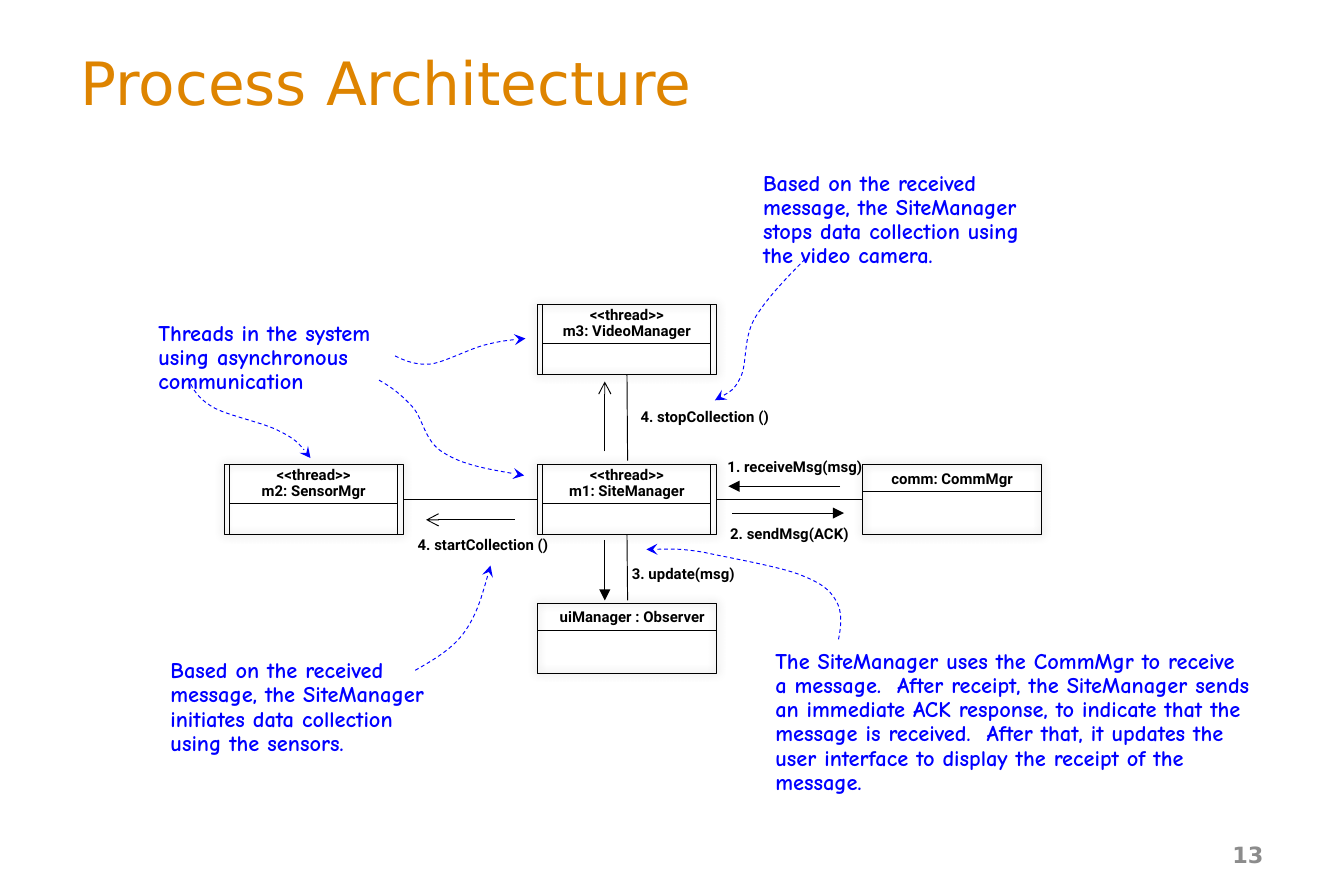
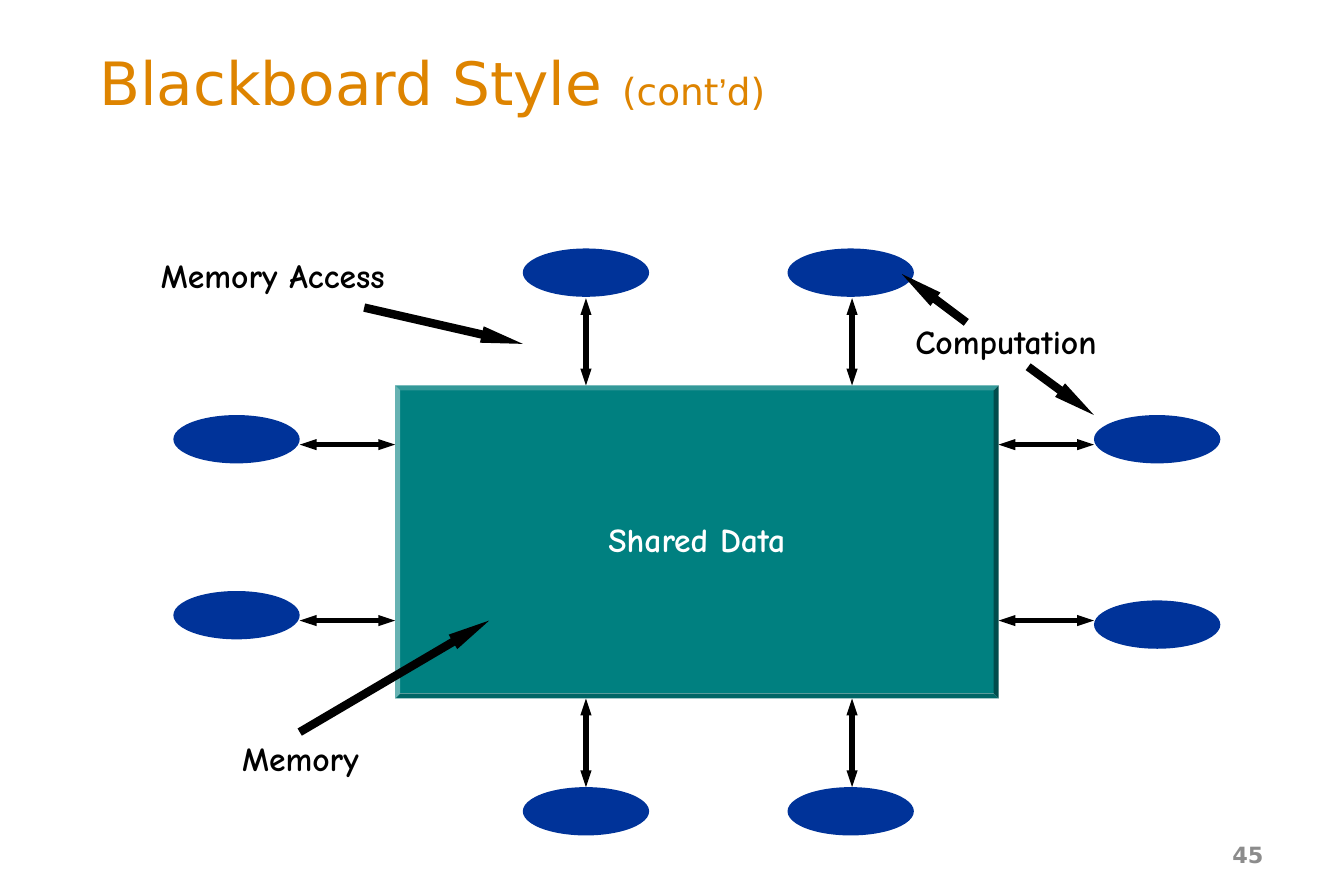
import lxml.etree
import pptx
import pptx.dml.color
import pptx.enum.dml
import pptx.enum.shapes
import pptx.enum.text
import pptx.oxml.ns
import pptx.util

Inches = pptx.util.Inches
Pt = pptx.util.Pt
RGB = pptx.dml.color.RGBColor.from_string
Shape = pptx.enum.shapes.MSO_SHAPE
Align = pptx.enum.text.PP_ALIGN
Anchor = pptx.enum.text.MSO_ANCHOR
qn = pptx.oxml.ns.qn
Sub = lxml.etree.SubElement


class Theme:
    orange = RGB("DE8400")
    gray = RGB("8C8C8C")
    black = RGB("000000")
    white = RGB("FFFFFF")
    blue = RGB("0000FF")
    navy = RGB("003399")
    teal = RGB("008080")
    head = ("DejaVu Sans", 32, orange, False)
    small = ("DejaVu Sans", 20, orange, False)
    quote = ("Arial", 20, orange, False)
    page = ("DejaVu Sans", 12, gray, True)
    label = ("Roboto", 8, black, True)
    note = ("Comic Neue", 12, blue, True)
    name = ("Comic Neue", 18, black, True)
    core = ("Comic Neue", 18, white, True)
    thin, thick, heavy = Pt(0.5), Pt(3), Pt(4.5)


def write(shape, runs, align=Align.LEFT, space=0.9, anchor=Anchor.TOP, wrap=True):
    frame = shape.text_frame
    frame.word_wrap = wrap
    frame.vertical_anchor = anchor
    para = frame.paragraphs[0]
    para.alignment = align
    para.line_spacing = space
    for text, (font, size, color, bold) in runs:
        run = para.add_run()
        run.text = text
        run.font.name = font
        run.font.size = Pt(size)
        run.font.color.rgb = color
        run.font.bold = bold


def link(slide, start, end, width, tail=None, head=None, span="med", girth="med"):
    line = slide.shapes.add_connector(
        pptx.enum.shapes.MSO_CONNECTOR.STRAIGHT, *map(Inches, start + end))
    line.line.color.rgb = Theme.black
    line.line.width = width
    props = line.element.spPr
    for tag, kind in (("a:headEnd", head), ("a:tailEnd", tail)):
        if kind:
            Sub(props.find(qn("a:ln")), qn(tag), type=kind, w=girth, len=span)
    Sub(props, qn("a:effectLst"))
    return line


deck = pptx.Presentation()
deck.slide_width, deck.slide_height = Inches(10), Inches(6.67)

heads = [
    ([("Process Architecture", Theme.head)], "13"),
    ([(" Blackboard Style ", Theme.head), ("(cont", Theme.small),
      ("’", Theme.quote), ("d)", Theme.small)], "45"),
]
for runs, page in heads:
    slide = deck.slides.add_slide(deck.slide_layouts[6])
    title = slide.shapes.add_textbox(Inches(0.5), Inches(0.27), Inches(9), Inches(0.68))
    write(title, runs, space=1, anchor=Anchor.MIDDLE)
    foot = slide.shapes.add_textbox(Inches(7.17), Inches(6.18), Inches(2.33), Inches(0.36))
    write(foot, [(page, Theme.page)], Align.RIGHT, 1, Anchor.MIDDLE)
process, board = deck.slides

wide, high = 1.33, 0.52
nodes = [
    ("m1: SiteManager", 4, 3.46, True),
    ("m3: VideoManager", 4, 2.27, True),
    ("m2: SensorMgr", 1.67, 3.46, True),
    ("uiManager : Observer", 4, 4.49, False),
    ("comm: CommMgr", 6.42, 3.46, False),
]
labels = [
    ("1. receiveMsg(msg)", 5.25, 3.37, wide),
    ("2. sendMsg(ACK)", 5.21, 3.87, wide),
    ("3. update(msg)", 4.42, 4.17, wide),
    ("4. startCollection ()", 2.93, 3.95, wide),
    ("4. stopCollection ()", 4.58, 3, wide),
]
boxes = []
for name, x, y, thread in nodes:
    box = process.shapes.add_shape(
        Shape.RECTANGLE, Inches(x), Inches(y), Inches(wide), Inches(high))
    box.fill.background()
    box.line.color.rgb = Theme.black
    box.line.width = Theme.thin
    box.shadow.inherit = False
    glow = Sub(box.element.spPr.find(qn("a:effectLst")), qn("a:outerShdw"),
               blurRad=str(Pt(5)), dist="0", dir="0", algn="ctr", rotWithShape="0")
    tint = Sub(glow, qn("a:srgbClr"), val="000000")
    Sub(tint, qn("a:alpha"), val="40000")
    boxes.append(box)
    inset, split = (0.04, 0.29) if thread else (0, 0.2)
    link(process, (x + inset, y + split), (x + wide - inset, y + split), Theme.thin)
    if thread:
        for side in (x + inset, x + wide - inset):
            link(process, (side, y), (side, y + high), Theme.thin)
        labels += [("<<thread>>", x, y - 0.03, wide), (name, x, y + 0.09, wide)]
    else:
        labels.append((name, x, y, 1.41 if name.startswith("ui") else wide))

for text, x, y, w in labels:
    box = process.shapes.add_textbox(Inches(x), Inches(y), Inches(w), Inches(0.22))
    write(box, [(text, Theme.label)], Align.CENTER)

site, video, sensor, screen, comm = boxes
line = link(process, (4, 3.72), (3, 3.72), Theme.thin)
line.begin_connect(site, 1)
line.end_connect(sensor, 3)
line = link(process, (5.33, 3.72), (6.42, 3.72), Theme.thin)
line.begin_connect(site, 3)
line.end_connect(comm, 1)
line = link(process, (4.67, 3.43), (4.67, 2.79), Theme.thin)
line.end_connect(video, 2)
line = link(process, (4.67, 4.47), (4.67, 3.98), Theme.thin)
line.end_connect(site, 2)

calls = [
    ((3.83, 3.87), (3.17, 3.87), "arrow"),
    ((4.5, 3.36), (4.5, 2.84), "arrow"),
    ((4.5, 4.02), (4.5, 4.47), "triangle"),
    ((6.25, 3.62), (5.42, 3.62), "triangle"),
    ((5.45, 3.82), (6.28, 3.82), "triangle"),
]
for start, end, tip in calls:
    link(process, start, end, Theme.thin, tip)

notes = [
    ("Threads in the system using asynchronous communication", 1.08, 2.35, 2, 0.65),
    ("The SiteManager uses the CommMgr to receive a message.  After receipt, "
     "the SiteManager sends an immediate ACK response, to indicate that the "
     "message is received.  After that, it updates the user interface to "
     "display the receipt of the message.", 5.67, 4.79, 3.75, 1.38),
    ("Based on the received message, the SiteManager initiates data collection "
     "using the sensors.", 1.17, 4.86, 2.17, 1.01),
    ("Based on the received message, the SiteManager stops data collection "
     "using the video camera.", 5.58, 1.23, 2.17, 1.01),
]
for text, *place in notes:
    box = process.shapes.add_textbox(*map(Inches, place))
    write(box, [(text, Theme.note)])

curves = [
    [(2.94, 2.65), (3.02, 2.69), (3.1, 2.72), (3.21, 2.71),
     (3.32, 2.69), (3.49, 2.6), (3.6, 2.57), (3.72, 2.54), (3.81, 2.53), (3.91, 2.52)],
    [(2.82, 2.83), (2.91, 2.88), (2.99, 2.94), (3.07, 3.03),
     (3.15, 3.12), (3.16, 3.29), (3.3, 3.37), (3.44, 3.46), (3.67, 3.5), (3.9, 3.54)],
    [(1.42, 2.86), (1.45, 2.92), (1.49, 2.98), (1.6, 3.04),
     (1.72, 3.1), (1.97, 3.15), (2.08, 3.21), (2.2, 3.27), (2.26, 3.34), (2.31, 3.41)],
    [(6.24, 4.76), (6.26, 4.66), (6.27, 4.55), (6.22, 4.47),
     (6.17, 4.38), (6.09, 4.33), (5.93, 4.27), (5.76, 4.21), (5.41, 4.15), (5.23, 4.11),
     (5.04, 4.08), (4.93, 4.09), (4.81, 4.09)],
    [(3.09, 4.99), (3.23, 4.91), (3.37, 4.83), (3.46, 4.7),
     (3.55, 4.57), (3.6, 4.39), (3.65, 4.21)],
    [(5.99, 1.93), (5.84, 2.08), (5.69, 2.24), (5.61, 2.38),
     (5.53, 2.53), (5.56, 2.71), (5.51, 2.81), (5.46, 2.91), (5.39, 2.94), (5.32, 2.98)],
]
for curve in curves:
    start, *rest = [(Inches(x), Inches(y)) for x, y in curve]
    pen = process.shapes.build_freeform(*start)
    pen.add_line_segments(rest, close=False)
    arc = pen.convert_to_shape()
    arc.fill.background()
    arc.shadow.inherit = False
    arc.line.color.rgb = Theme.blue
    arc.line.width = Theme.thin
    arc.line.dash_style = pptx.enum.dml.MSO_LINE.DASH
    Sub(arc.element.spPr.find(qn("a:ln")), qn("a:tailEnd"), type="stealth")
    steps = list(arc.element.iter(qn("a:lnTo")))
    trace = steps[0].getparent()
    for i in range(0, len(steps), 3):
        bend = Sub(trace, qn("a:cubicBezTo"))
        for step in steps[i:i + 3]:
            bend.append(step[0])
            trace.remove(step)

left, top, right, base = 2.94, 2.87, 7.43, 5.2
data = board.shapes.add_shape(
    Shape.BEVEL, Inches(left), Inches(top), Inches(right - left), Inches(base - top))
data.adjustments[0] = 0.016
data.fill.solid()
data.fill.fore_color.rgb = Theme.teal
data.line.fill.background()
data.shadow.inherit = False
write(data, [("Shared Data", Theme.core)], Align.CENTER, anchor=Anchor.MIDDLE, wrap=False)

ovals, spokes = [], []
for x, edge in ((4.36, 3.89), (6.34, 5.86)):
    ovals += [(edge, 1.85), (edge, 5.86)]
    spokes += [((x, top), (x, 2.22)), ((x, 5.86), (x, base))]
for y, near, far in ((3.31, 3.09, 3.09), (4.62, 4.4, 4.47)):
    ovals += [(1.29, near), (8.14, far)]
    spokes += [((left, y), (2.23, y)), ((8.14, y), (right, y))]
for start, end in spokes:
    link(board, start, end, Theme.thick, "triangle", "triangle", girth="sm")
for x, y in ovals:
    oval = board.shapes.add_shape(
        Shape.OVAL, Inches(x), Inches(y), Inches(0.94), Inches(0.36))
    oval.fill.solid()
    oval.fill.fore_color.rgb = Theme.navy
    oval.line.fill.background()
    oval.shadow.inherit = False

names = [("Memory", 1.66, 5.47, 1.15), ("Memory Access", 0.98, 1.88, 2.1),
         ("Computation", 6.65, 2.37, 1.67)]
for text, x, y, w in names:
    box = board.shapes.add_textbox(Inches(x), Inches(y), Inches(w), Inches(0.38))
    write(box, [(text, Theme.name)], Align.CENTER, anchor=Anchor.MIDDLE, wrap=False)

hints = [((2.71, 2.29), (3.89, 2.56)), ((7.65, 2.73), (8.14, 3.09)),
         ((7.19, 2.4), (6.71, 2.04)), ((2.23, 5.45), (3.64, 4.62))]
for start, end in hints:
    link(board, start, end, Theme.heavy, "triangle", span="lg", girth="sm")

deck.save("out.pptx")
